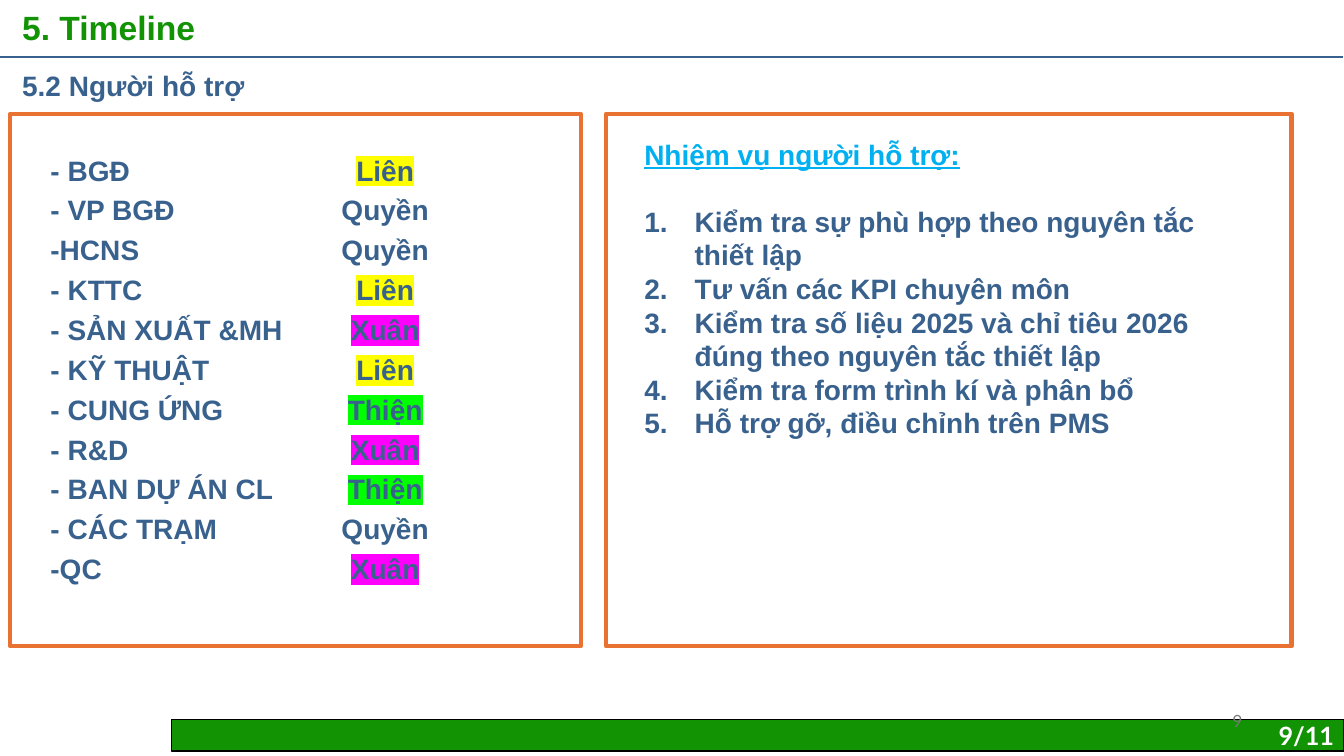
"""Build the slide listing each department's supporter and the supporters' duties."""
from lxml.etree import SubElement
from pptx import Presentation
from pptx.dml.color import RGBColor
from pptx.enum.shapes import MSO_CONNECTOR, MSO_SHAPE
from pptx.enum.text import MSO_ANCHOR, PP_ALIGN
from pptx.oxml.ns import qn
from pptx.util import Inches, Pt

COLORS = {
    "green": "119303", "navy": "39618E", "sky": "00B0F0", "orange": "E97132",
    "gray": "797979", "white": "FFFFFF", "black": "000000",
}
HIGHLIGHTS = {"Liên": "FFFF00", "Xuân": "FF00FF", "Thiện": "00FF00"}

TITLE = "5. Timeline"
SUBTITLE = "5.2 Người hỗ trợ"
SUPPORTERS = [
    ("- BGĐ", "Liên"),
    ("- VP BGĐ", "Quyền"),
    ("-HCNS", "Quyền"),
    ("- KTTC", "Liên"),
    ("- SẢN XUẤT &MH", "Xuân"),
    ("- KỸ THUẬT", "Liên"),
    ("- CUNG ỨNG", "Thiện"),
    ("- R&D", "Xuân"),
    ("- BAN DỰ ÁN CL", "Thiện"),
    ("- CÁC TRẠM", "Quyền"),
    ("-QC", "Xuân"),
]
DUTIES_HEADING = "Nhiệm vụ người hỗ trợ:"
DUTIES = [
    "Kiểm tra sự phù hợp theo nguyên tắc thiết lập",
    "Tư vấn các KPI chuyên môn",
    "Kiểm tra số liệu 2025 và chỉ tiêu 2026 đúng theo nguyên tắc thiết lập",
    "Kiểm tra form trình kí và phân bổ",
    "Hỗ trợ gỡ, điều chỉnh trên PMS",
]
PAGE_COUNT = "9/11"
PAGE_NUMBER = "9"

COLUMN_WIDTHS = (2.85, 0.96)
ROW_HEIGHT = 4.35 / len(SUPPORTERS)
PANELS = [(0.1, 5.66), (6.01, 6.8)]
PANEL_TOP, PANEL_HEIGHT = 1.13, 5.28


def rgb(name):
    return RGBColor.from_string(COLORS[name])


def add_run(paragraph, text, size, color, bold=True, font="Arial"):
    run = paragraph.add_run()
    run.text = text
    run.font.size = Pt(size)
    run.font.bold = bold
    run.font.name = font
    run.font.color.rgb = rgb(color)
    return run


def add_highlight(run, color):
    highlight = run.font.fill._xPr.makeelement(qn("a:highlight"), {})
    SubElement(highlight, qn("a:srgbClr"), val=color)
    run.font.fill._xPr.find(qn("a:solidFill")).addnext(highlight)


def add_box(slide, box, inset=True):
    frame = slide.shapes.add_textbox(*map(Inches, box)).text_frame
    frame.word_wrap = True
    if not inset:
        frame.margin_left = frame.margin_right = 0
        frame.margin_top = frame.margin_bottom = 0
    return frame


def add_rect(slide, box, fill, line, width):
    rect = slide.shapes.add_shape(MSO_SHAPE.RECTANGLE, *map(Inches, box))
    rect.shadow.inherit = False
    if fill:
        rect.fill.solid()
        rect.fill.fore_color.rgb = rgb(fill)
    else:
        rect.fill.background()
    rect.line.color.rgb = rgb(line)
    rect.line.width = Pt(width)


def add_heading(slide, top, height, text, size, color):
    paragraph = add_box(slide, (0.22, top, 12.94, height), inset=False).paragraphs[0]
    paragraph.line_spacing = Pt(size * 1.2)
    add_run(paragraph, text, size, color)


def add_page_label(slide, box, text, size, color, bold, anchor):
    frame = add_box(slide, box)
    frame.vertical_anchor = anchor
    frame.paragraphs[0].alignment = PP_ALIGN.RIGHT
    add_run(frame.paragraphs[0], text, size, color, bold, "Lato")


def style_cell(cell):
    cell.fill.background()
    cell.vertical_anchor = MSO_ANCHOR.BOTTOM
    cell.margin_left = cell.margin_right = cell.margin_top = Inches(0.01)
    cell.margin_bottom = 0
    properties = cell._tc.get_or_add_tcPr()
    for index, side in enumerate(("lnL", "lnR", "lnT", "lnB")):
        border = properties.makeelement(qn(f"a:{side}"), {"w": str(Pt(1))})
        fill = SubElement(border, qn("a:solidFill"))
        SubElement(fill, qn("a:srgbClr"), val=COLORS["white"])
        properties.insert(index, border)


def add_supporters(slide):
    box = (0.49, 1.46, sum(COLUMN_WIDTHS), ROW_HEIGHT * len(SUPPORTERS))
    table = slide.shapes.add_table(len(SUPPORTERS), 2, *map(Inches, box)).table
    table.first_row = table.horz_banding = False
    for column, width in zip(table.columns, COLUMN_WIDTHS):
        column.width = Inches(width)
    for row, entry in enumerate(SUPPORTERS):
        table.rows[row].height = Inches(ROW_HEIGHT)
        for column, text in enumerate(entry):
            cell = table.cell(row, column)
            style_cell(cell)
            paragraph = cell.text_frame.paragraphs[0]
            paragraph.alignment = (PP_ALIGN.LEFT, PP_ALIGN.CENTER)[column]
            run = add_run(paragraph, text, 20, "navy")
            if text in HIGHLIGHTS:
                add_highlight(run, HIGHLIGHTS[text])


def add_duties(slide):
    frame = add_box(slide, (6.39, 1.36, 6.04, 3.03), inset=False)
    heading = frame.paragraphs[0]
    heading.line_spacing = heading.space_after = Pt(24)
    add_run(heading, DUTIES_HEADING, 20, "sky").font.underline = True
    for duty in DUTIES:
        paragraph = frame.add_paragraph()
        properties = paragraph._p.get_or_add_pPr()
        properties.set("marL", str(Inches(0.5)))
        properties.set("indent", str(-Inches(0.5)))
        SubElement(properties, qn("a:buFont"), typeface="+mj-lt")
        SubElement(properties, qn("a:buAutoNum"), type="arabicPeriod")
        paragraph.line_spacing = Pt(24)
        add_run(paragraph, duty, 20, "navy")


def main():
    deck = Presentation()
    deck.slide_width, deck.slide_height = Inches(13.33), Inches(7.5)
    slide = deck.slides.add_slide(deck.slide_layouts[6])

    add_rect(slide, (1.7, 7.14, 11.63, 0.31), "green", "black", 1)
    add_page_label(slide, (11.95, 7.1, 1.38, 0.4), PAGE_COUNT, 18, "white", True, MSO_ANCHOR.TOP)
    add_supporters(slide)

    divider = slide.shapes.add_connector(
        MSO_CONNECTOR.STRAIGHT, 0, Inches(0.57), Inches(13.32), Inches(0.57))
    divider.line.color.rgb = rgb("navy")
    divider.line.width = Pt(1.5)
    SubElement(divider._element.spPr, qn("a:effectLst"))

    add_heading(slide, 0.07, 0.38, TITLE, 24, "green")
    add_heading(slide, 0.68, 0.34, SUBTITLE, 20, "navy")
    add_duties(slide)
    for left, width in PANELS:
        add_rect(slide, (left, PANEL_TOP, width, PANEL_HEIGHT), None, "orange", 3)
    add_page_label(slide, (9.42, 6.95, 3, 0.4), PAGE_NUMBER, 12, "gray", False, MSO_ANCHOR.MIDDLE)

    deck.save("out.pptx")


if __name__ == "__main__":
    main()
